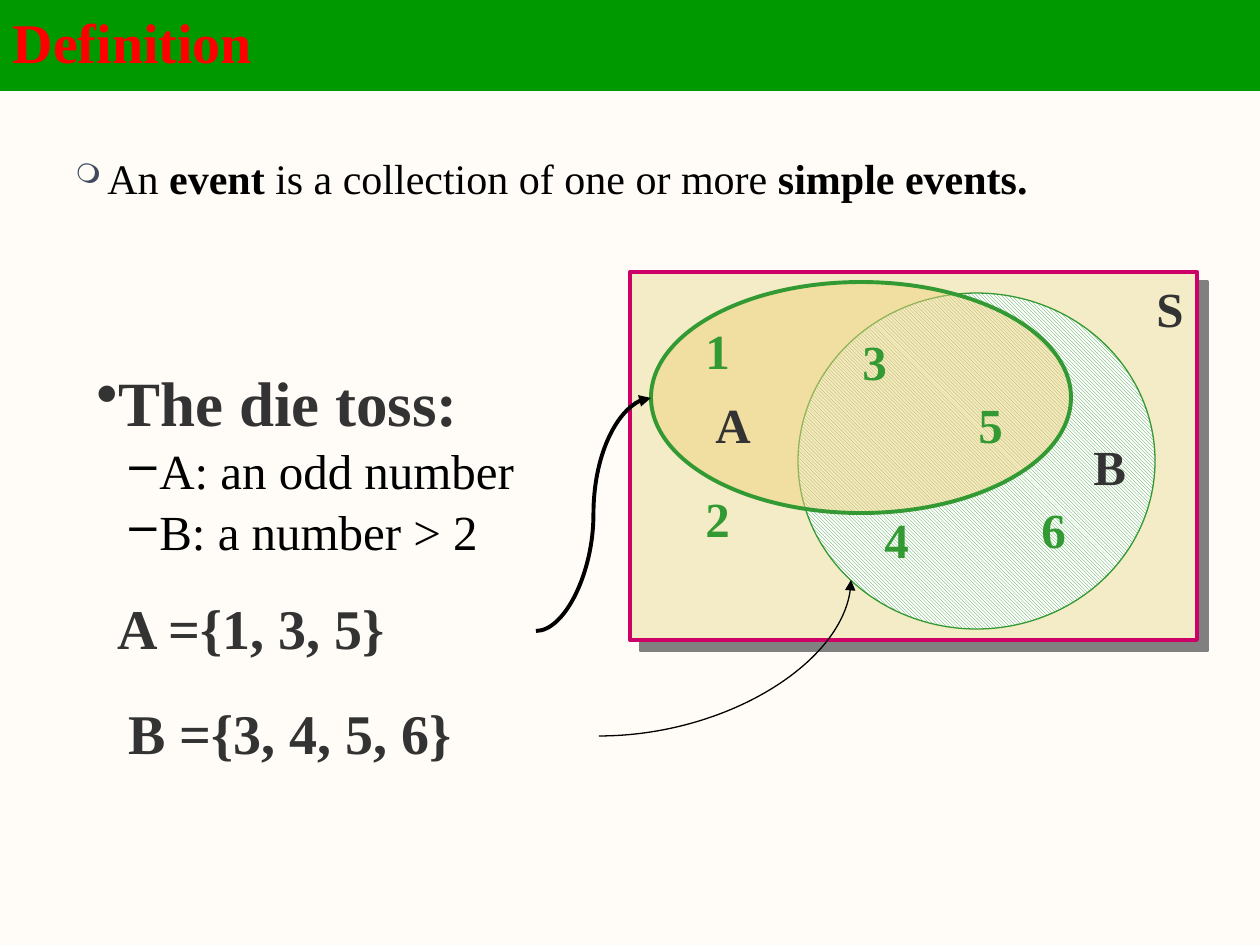
from dataclasses import dataclass

from lxml import etree
from pptx import Presentation
from pptx.dml.color import RGBColor
from pptx.enum import dml, shapes, text
from pptx.oxml import ns
from pptx import util as u

FONT = "Times New Roman"
BLACK, DARK, GREEN, WHITE = "000000", "333333", "339933", "FFFFFF"


@dataclass
class Label:
    text: str
    x: int
    y: int
    w: int = 105
    h: int = 72
    size: int = 28
    color: str = GREEN


@dataclass
class Curve:
    start: tuple[int, int]
    end: tuple[int, int]
    width: float
    preset: str


def px(n: int) -> u.Emu:
    return u.Emu(round(n * 914400 / 126))


def rgb(value: str) -> RGBColor:
    return RGBColor.from_string(value)


def sub(parent, tag: str, **attrs):
    el = etree.SubElement(parent, ns.qn(tag))
    for key, value in attrs.items():
        el.set(key, str(value))
    return el


def add_text(p, value: str, size: int = 28, color: str = DARK, bold: bool = True):
    r = p.add_run()
    r.text = value
    r.font.name = FONT
    r.font.size = u.Pt(size)
    r.font.bold = bold
    r.font.color.rgb = rgb(color)


def add_box(slide, x: int, y: int, w: int, h: int):
    tf = slide.shapes.add_textbox(px(x), px(y), px(w), px(h)).text_frame
    tf.word_wrap = True
    return tf


def add_label(slide, label: Label):
    p = add_box(slide, label.x, label.y, label.w, label.h).paragraphs[0]
    add_text(p, label.text, label.size, label.color)


def add_bullet(p, char: str, left: int = 0, indent: int = 0, color: str = "", pct: int = 100):
    pPr = p._p.get_or_add_pPr()
    pPr.set("marL", str(px(left)))
    pPr.set("indent", str(px(indent)))
    if color:
        sub(sub(pPr, "a:buClr"), "a:srgbClr", val=color)
    sub(pPr, "a:buSzPct", val=pct * 1000)
    sub(pPr, "a:buChar", char=char)


def add_area(slide, kind, x: int, y: int, w: int, h: int, line: str, width: float):
    sp = slide.shapes.add_shape(kind, px(x), px(y), px(w), px(h))
    sp.shadow.inherit = False
    sp.line.color.rgb = rgb(line)
    sp.line.width = u.Pt(width)
    return sp


def add_curve(slide, curve: Curve):
    points = [px(n) for n in curve.start + curve.end]
    cxn = slide.shapes.add_connector(shapes.MSO_CONNECTOR.CURVE, *points)
    cxn.line.color.rgb = rgb(BLACK)
    cxn.line.width = u.Pt(curve.width)
    spPr = cxn._element.spPr
    spPr.find(ns.qn("a:prstGeom")).set("prst", curve.preset)
    sub(spPr.find(ns.qn("a:ln")), "a:tailEnd", type="triangle")
    sub(spPr, "a:effectLst")


def add_title(slide):
    sp = slide.shapes.title
    sp.left, sp.top, sp.width, sp.height = px(0), px(0), px(1260), px(90)
    sp.fill.solid()
    sp.fill.fore_color.rgb = rgb("009900")
    sp.line.color.rgb = rgb("009900")
    sp.line.width = u.Pt(0.75)
    tf = sp.text_frame
    tf.vertical_anchor = text.MSO_ANCHOR.MIDDLE
    p = tf.paragraphs[0]
    p.alignment = text.PP_ALIGN.LEFT
    p.line_spacing = 0.9
    add_text(p, "Definition", 32, "FF0000")


def add_statements(slide):
    p = add_box(slide, 63, 146, 1134, 78).paragraphs[0]
    add_bullet(p, "❍", 32, -32, "404960", 65)
    parts = ["An ", "event", " is a collection of one or more ", "simple events."]
    for i, part in enumerate(parts):
        add_text(p, part, 24, BLACK, i % 2 == 1)

    tf = add_box(slide, 84, 357, 514, 207)
    p = tf.paragraphs[0]
    add_bullet(p, "•")
    add_text(p, "The die toss:", 36)
    for value in ("A: an odd number", "B: a number > 2"):
        p = tf.add_paragraph()
        p.level = 1
        add_bullet(p, "–", 63, -30)
        p.space_before = u.Pt(1)
        add_text(p, value, 28, BLACK, False)

    add_label(slide, Label("A ={1, 3, 5}", 105, 587, 431, 79, 32, DARK))
    add_label(slide, Label("B ={3, 4, 5, 6}", 116, 692, 483, 79, 32, DARK))


def add_diagram(slide):
    kinds = shapes.MSO_SHAPE
    sp = add_area(slide, kinds.RECTANGLE, 630, 272, 567, 368, "CC0066", 2.25)
    sp.fill.solid()
    sp.fill.fore_color.rgb = rgb("F4ECC6")
    effects = sp._element.spPr.find(ns.qn("a:effectLst"))
    shadow = sub(effects, "a:outerShdw", blurRad=0, dist=u.Pt(8.5), dir=45 * 60000,
                 algn="ctr", rotWithShape=0)
    sub(shadow, "a:srgbClr", val="808080")
    add_label(slide, Label("S", 1144, 272, 53, color=DARK))

    sp = add_area(slide, kinds.OVAL, 798, 293, 357, 336, GREEN, 0.75)
    sp.fill.patterned()
    sp.fill.pattern = dml.MSO_PATTERN.LIGHT_DOWNWARD_DIAGONAL
    sp.fill.fore_color.rgb = rgb(GREEN)
    sp.fill.back_color.rgb = rgb(WHITE)
    add_label(slide, Label("B", 1081, 430, 73, color=DARK))
    add_curve(slide, Curve((599, 736), (851, 580), 0.75, "curvedConnector2"))

    sp = add_area(slide, kinds.OVAL, 651, 282, 420, 231, GREEN, 2.25)
    sp.fill.solid()
    sp.fill.fore_color.rgb = rgb("F0D27E")
    color = sp._element.spPr.find(ns.qn("a:solidFill"))[0]
    sub(color, "a:alpha", val=50000)
    add_label(slide, Label("A", 703, 388, 63, color=DARK))
    add_curve(slide, Curve((536, 631), (651, 398), 2.25, "curvedConnector3"))

    digits = [Label("1", 693, 314), Label("6", 1029, 493), Label("2", 693, 482),
              Label("3", 850, 325), Label("4", 872, 503), Label("5", 966, 388)]
    for digit in digits:
        add_label(slide, digit)


def main():
    prs = Presentation()
    prs.slide_width, prs.slide_height = px(1260), px(945)
    slide = prs.slides.add_slide(prs.slide_layouts[5])
    slide.background.fill.solid()
    slide.background.fill.fore_color.rgb = rgb("FFFCF7")
    add_title(slide)
    add_statements(slide)
    add_diagram(slide)
    prs.save("out.pptx")


if __name__ == "__main__":
    main()
